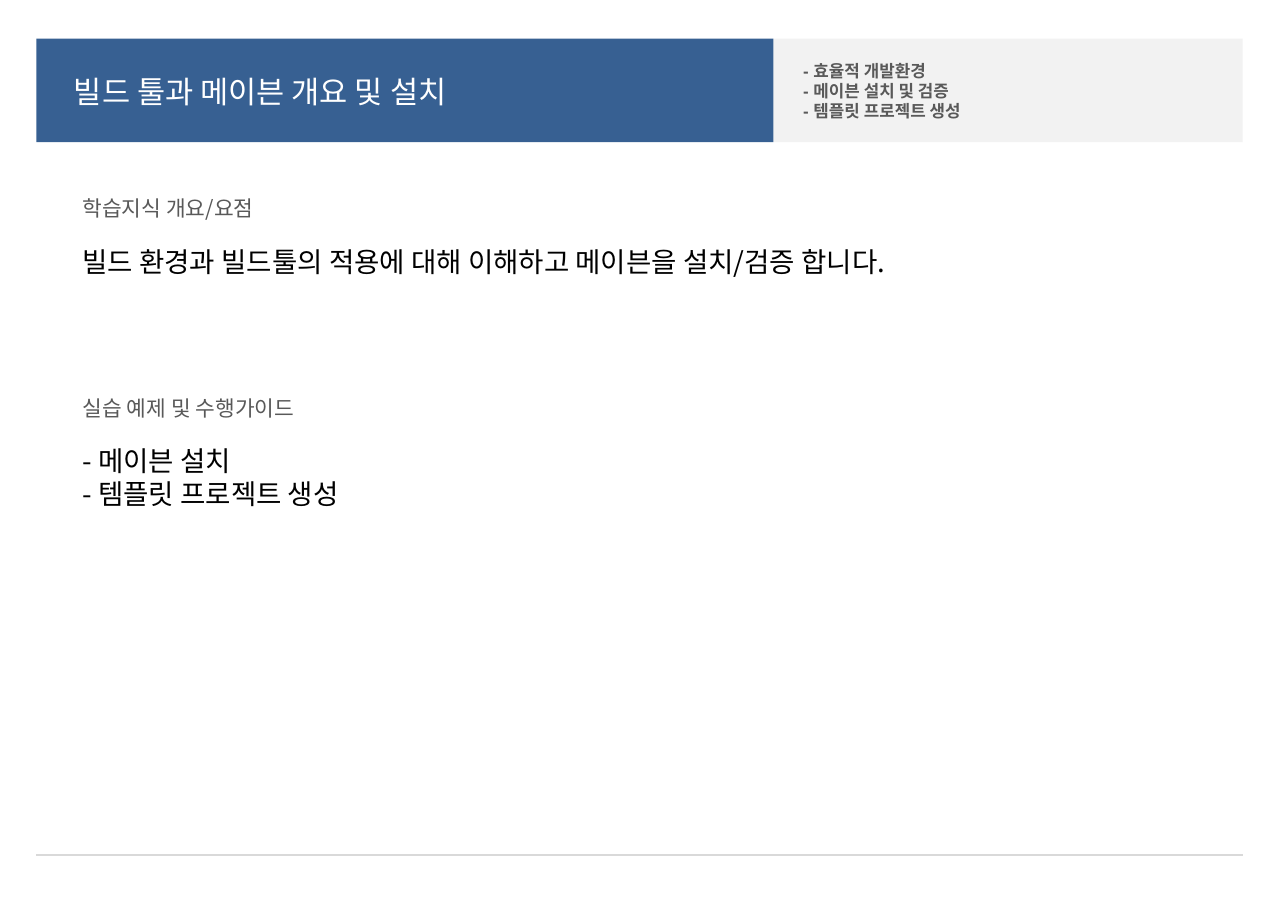
import pptx
import pptx.dml.color
import pptx.enum.shapes
import pptx.enum.text
import pptx.oxml
import pptx.oxml.ns
import pptx.util
from dataclasses import dataclass

Inches = pptx.util.Inches
ANCHOR = pptx.enum.text.MSO_ANCHOR


@dataclass(frozen=True)
class Theme:
    blue: str = "376092"
    pale: str = "F2F2F2"
    rule: str = "D9D9D9"
    gray: str = "595959"
    white: str = "FFFFFF"
    black: str = "000000"
    font: str = "Noto Sans CJK KR"
    latin: str = "Arial"
    title: int = 20
    body: int = 18
    heading: int = 14
    topic: int = 11


THEME = Theme()


def rgb(color):
    return pptx.dml.color.RGBColor.from_string(color)


def write(shape, lines, size, color, font=THEME.font, bold=False, anchor=ANCHOR.MIDDLE):
    frame = shape.text_frame
    frame.text = "\n".join(lines)
    frame.word_wrap = True
    frame.auto_size = pptx.enum.text.MSO_AUTO_SIZE.NONE
    frame.vertical_anchor = anchor
    for paragraph in frame.paragraphs:
        paragraph.alignment = pptx.enum.text.PP_ALIGN.LEFT
        for run in paragraph.runs:
            run.font.name = font
            run.font.size = pptx.util.Pt(size)
            run.font.bold = bold
            run.font.color.rgb = rgb(color)
            east_asian = pptx.oxml.parse_xml(
                f'<a:ea {pptx.oxml.ns.nsdecls("a")} typeface="{THEME.font}"/>')
            run.font._element.find(pptx.oxml.ns.qn("a:latin")).addnext(east_asian)


def add_text(slide, left, top, width, height, lines, size, color, **style):
    box = slide.shapes.add_textbox(*map(Inches, (left, top, width, height)))
    write(box, lines, size, color, **style)


def add_band(slide, left, top, width, height, color):
    band = slide.shapes.add_shape(
        pptx.enum.shapes.MSO_SHAPE.RECTANGLE, *map(Inches, (left, top, width, height)))
    band.shadow.inherit = False
    band.fill.solid()
    band.fill.fore_color.rgb = rgb(color)
    band.line.fill.background()


def add_header(slide, left, top, width, height, title, topics):
    title_width = 6.69
    add_band(slide, left + title_width, top, width - title_width, height, THEME.pale)
    add_band(slide, left, top, title_width, height, THEME.blue)
    placeholder = slide.shapes.title
    placeholder.left, placeholder.top = Inches(left + 0.24), Inches(top + 0.24)
    placeholder.width, placeholder.height = Inches(4.88), Inches(0.47)
    write(placeholder, [title], THEME.title, THEME.white)
    slide.shapes._spTree.append(placeholder._element)
    add_text(slide, left + title_width + 0.17, top + 0.08, 3.31, 0.79, topics,
             THEME.topic, THEME.gray, font=THEME.latin, bold=True)


def add_section(slide, left, top, width, heading, lines):
    add_text(slide, left, top, 2.52, 0.24, [heading], THEME.heading, THEME.gray)
    add_text(slide, left, top + 0.4, width, 0.71, lines, THEME.body, THEME.black,
             anchor=ANCHOR.TOP)


def add_footer_rule(slide, left, top, width):
    rule = slide.shapes.add_connector(
        pptx.enum.shapes.MSO_CONNECTOR.STRAIGHT,
        Inches(left), Inches(top), Inches(left + width), Inches(top))
    rule.line.color.rgb = rgb(THEME.rule)
    rule.line.width = pptx.util.Pt(1)
    rule._element.spPr.append(
        pptx.oxml.parse_xml(f'<a:effectLst {pptx.oxml.ns.nsdecls("a")}/>'))


def main():
    presentation = pptx.Presentation()
    presentation.slide_width = Inches(11.69)
    presentation.slide_height = Inches(8.27)
    slide = presentation.slides.add_slide(presentation.slide_layouts[5])
    left, width = 0.33, 10.95
    add_header(slide, left, 0.35, width, 0.94, "빌드 툴과 메이븐 개요 및 설치",
               ["- 효율적 개발환경", "- 메이븐 설치 및 검증", "- 템플릿 프로젝트 생성"])
    sections = [
        ("학습지식 개요/요점",
         ["빌드 환경과 빌드툴의 적용에 대해 이해하고 메이븐을 설치/검증 합니다."]),
        ("실습 예제 및 수행가이드", ["- 메이븐 설치", "- 템플릿 프로젝트 생성"]),
    ]
    for index, (heading, lines) in enumerate(sections):
        add_section(slide, left + 0.32, 1.77 + index * 1.81, 9.45, heading, lines)
    add_footer_rule(slide, left, 7.76, width)
    presentation.save("out.pptx")


if __name__ == "__main__":
    main()
